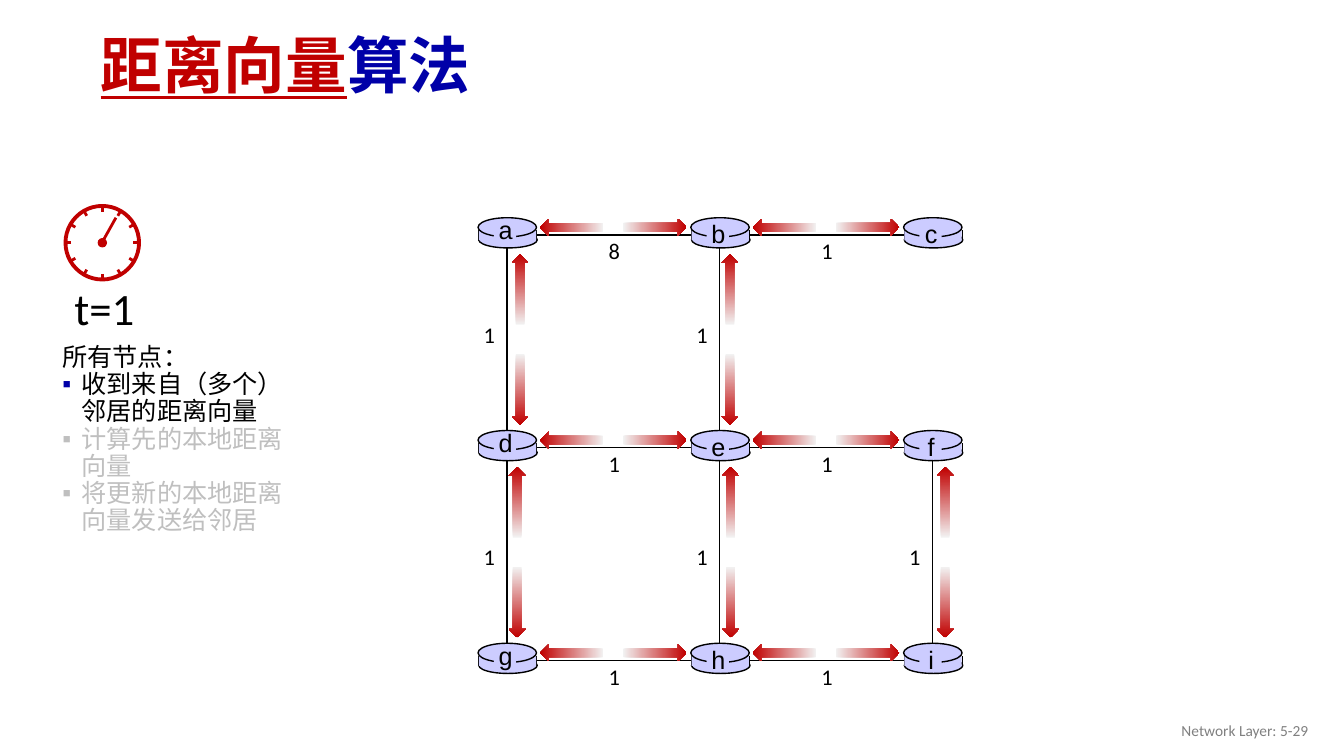
from dataclasses import dataclass
from math import cos, radians, sin

from lxml import etree
from pptx import Presentation, util as u
from pptx.dml.color import RGBColor
from pptx.enum import shapes as s, text as t
from pptx.oxml import ns

# The slide is a grid of 160 columns by 90 rows with square cells.
COLS, ROWS = 160, 90
CELL = u.Inches(7.5) / ROWS
INK = {
    "red": "C00000", "blue": "0000A8", "black": "000000", "gray": "808080",
    "faint": "BFBFBF", "pale": "F2F2F2", "lilac": "CCCCFF",
}
LEFT, TOP, PITCH = 60.36, 27.96, 25.33
KIND = s.MSO_SHAPE
Box = tuple[float, float, float, float]
Point = tuple[float, float]


@dataclass(frozen=True)
class Node:
    name: str
    col: int
    row: int


@dataclass(frozen=True)
class Link:
    """An edge that leaves a node to the right, or downward."""
    col: int
    row: int
    down: bool = False
    cost: str = "1"
    shift: float = -0.9  # arrows, sideways from the line


@dataclass(frozen=True)
class Part:
    kind: s.MSO_SHAPE
    box: Box
    edge: bool = False


NODES = [Node(name, i % 3, i // 3) for i, name in enumerate("abcdefghi")]
LINKS = [
    Link(0, 0, cost="8"), Link(1, 0),
    Link(0, 1), Link(1, 1),
    Link(0, 2), Link(1, 2),
    Link(0, 0, True, shift=1.56), Link(1, 0, True, shift=1.2),
    Link(0, 1, True, shift=1.2), Link(1, 1, True, shift=1.3),
    Link(2, 1, True, shift=1.5),
]
BASE = Part(KIND.OVAL, (-3.36, -0.36, 6.96, 1.92), True)
LID = [
    Part(KIND.RECTANGLE, (-3.36, -0.55, 6.84, 1.2)),
    Part(KIND.OVAL, (-3.45, -2.04, 6.96, 2.28), True),
    Part(KIND.RECTANGLE, (-1.56, -1.38, 2.64, 2.4)),
]


def size(cells: float) -> int:
    return round(cells * CELL)


def rgb(name: str) -> RGBColor:
    return RGBColor.from_string(INK[name])


def spot(col: float, row: float) -> Point:
    return LEFT + col * PITCH, TOP + row * PITCH


def shape(tree, kind: s.MSO_SHAPE, box: Box, fill: str = "", edge: str = "", width: float = 1):
    item = tree.add_shape(kind, *map(size, box))
    item.shadow.inherit = False
    if fill:
        item.fill.solid()
        item.fill.fore_color.rgb = rgb(fill)
    else:
        item.fill.background()
    if edge:
        item.line.color.rgb = rgb(edge)
        item.line.width = u.Pt(width)
    else:
        item.line.fill.background()
    return item


def line(tree, start: Point, end: Point, color: str = "black", width: float = 1) -> None:
    item = tree.add_connector(s.MSO_CONNECTOR.STRAIGHT, *map(size, start + end))
    item.line.color.rgb = rgb(color)
    item.line.width = u.Pt(width)
    etree.SubElement(item._element.spPr, ns.qn("a:effectLst"))


def frame(tree, box: Box, wrap: bool = True, mid: bool = False):
    area = tree.add_textbox(*map(size, box)).text_frame
    area.word_wrap = wrap
    area.vertical_anchor = t.MSO_ANCHOR.MIDDLE if mid else t.MSO_ANCHOR.TOP
    return area


def dot(para, color: str) -> None:
    """Give the paragraph a square bullet and a hanging indent."""
    props = para._p.get_or_add_pPr()
    props.set("marL", str(u.Inches(0.19)))
    props.set("indent", str(-u.Inches(0.19)))
    tint = etree.SubElement(props, ns.qn("a:buClr"))
    etree.SubElement(tint, ns.qn("a:srgbClr"), val=INK[color])
    etree.SubElement(props, ns.qn("a:buFont"), typeface="Arial")
    etree.SubElement(props, ns.qn("a:buChar"), char="▪")


def write(area, text: str, *, pt: float = 18, color: str = "black", font: str = "Calibri",
          bold: bool = False, under: bool = False, align: str = "LEFT",
          space: float = 1, bullet: str = "", new: bool = False) -> None:
    """Add a run to the last paragraph, or to a new one."""
    para = area.add_paragraph() if new else area.paragraphs[-1]
    if bullet:
        dot(para, bullet)
    para.alignment = t.PP_ALIGN[align]
    para.line_spacing = space
    run = para.add_run()
    run.text = text
    run.font.name, run.font.size = font, u.Pt(pt)
    run.font.bold, run.font.underline = bold, under
    run.font.color.rgb = rgb(color)


def arrow(tree, mid: Point, turn: int, length: float) -> None:
    x, y = mid
    item = shape(tree, KIND.RIGHT_ARROW, (x - length / 2, y - 1.02, length, 2.04))
    item.fill.gradient()
    item.fill.gradient_angle = 0
    for stop, color in zip(item.fill.gradient_stops, ("pale", "red")):
        stop.color.rgb = rgb(color)
    item.rotation = turn


def join(tree, link: Link) -> None:
    """Draw the line of a link and its cost."""
    x, y = spot(link.col, link.row)
    end = spot(link.col + (not link.down), link.row + link.down)
    line(tree, (x, y), end)
    place = (x - 3.96, y + 9.72 + 1.08 * link.row) if link.down else (x + 10.92, y - 0.3)
    write(frame(tree, (*place, 3.96, 4.44), wrap=False), link.cost, pt=16)


def trade(tree, link: Link) -> None:
    """Draw the two arrows of a link, each toward its node."""
    x, y = spot(link.col, link.row)
    if link.down:
        arrow(tree, (x + link.shift, y + 6.5), 270, 8.4)
        arrow(tree, (x + link.shift, y + 18.4), 90, 8.4)
    else:
        arrow(tree, (x + 7.7, y + link.shift), 180, 7.56)
        arrow(tree, (x + 17.6, y + link.shift), 0, 7.56)


def router(tree, node: Node) -> None:
    group = tree.add_group_shape().shapes
    x, y = spot(node.col, node.row)

    def add(part: Part) -> None:
        dx, dy, wide, high = part.box
        shape(group, part.kind, (x + dx, y + dy, wide, high), "lilac", "black" if part.edge else "")

    add(BASE)
    for side in (-3.36, 3.54):
        line(group, (x + side, y - 0.55), (x + side, y + 0.7))
    for part in LID:
        add(part)
    rise = 3 if node.col == 0 else 2.52
    write(frame(group, (x - 2.2, y - rise, 4.08, 4.8), wrap=False), node.name,
          font="Arial", align="CENTER")


def clock(tree) -> None:
    group = tree.add_group_shape().shapes
    x, y = 12.18, 28.9
    shape(group, KIND.OVAL, (x - 4.38, y - 4.38, 8.76, 8.76), edge="red", width=2.75)
    for turn in range(0, 360, 30):
        dx, dy = cos(radians(turn)), sin(radians(turn))
        line(group, (x + 3.7 * dx, y + 3.7 * dy), (x + 4.5 * dx, y + 4.5 * dy), "red", 2)
    shape(group, KIND.OVAL, (x - 0.56, y - 0.56, 1.12, 1.12), "red")
    line(group, (x - 0.1, y + 0.1), (x + 1.62, y - 2.98), "red", 2)
    write(frame(group, (7.68, 32.88, 9.72, 7.68), wrap=False), "t=1", pt=32)


def main() -> None:
    deck = Presentation()
    deck.slide_width, deck.slide_height = size(COLS), size(ROWS)
    tree = deck.slides.add_slide(deck.slide_layouts[6]).shapes

    title = frame(tree, (10.8, 2.28, 138, 11.76), mid=True)
    write(title, "距离向量", pt=44, color="red", bold=True, under=True, space=0.9)
    write(title, "算法", pt=44, color="blue", bold=True, space=0.9)
    foot = frame(tree, (120.96, 84.6, 36, 4.8), mid=True)
    write(foot, "Network Layer: 5-29", pt=11, color="gray", align="RIGHT")

    steps = frame(tree, (6.24, 40.44, 28.8, 24.12))
    write(steps, "所有节点：", space=0.9)
    write(steps, "收到来自（多个）邻居的距离向量", space=0.9, bullet="blue", new=True)
    for text in ("计算先的本地距离向量", "将更新的本地距离向量发送给邻居"):
        write(steps, text, color="faint", space=0.9, bullet="faint", new=True)

    clock(tree)
    for link in LINKS:
        join(tree, link)
    for node in NODES:
        router(tree, node)
    for link in LINKS:
        trade(tree, link)
    deck.save("out.pptx")


if __name__ == "__main__":
    main()
